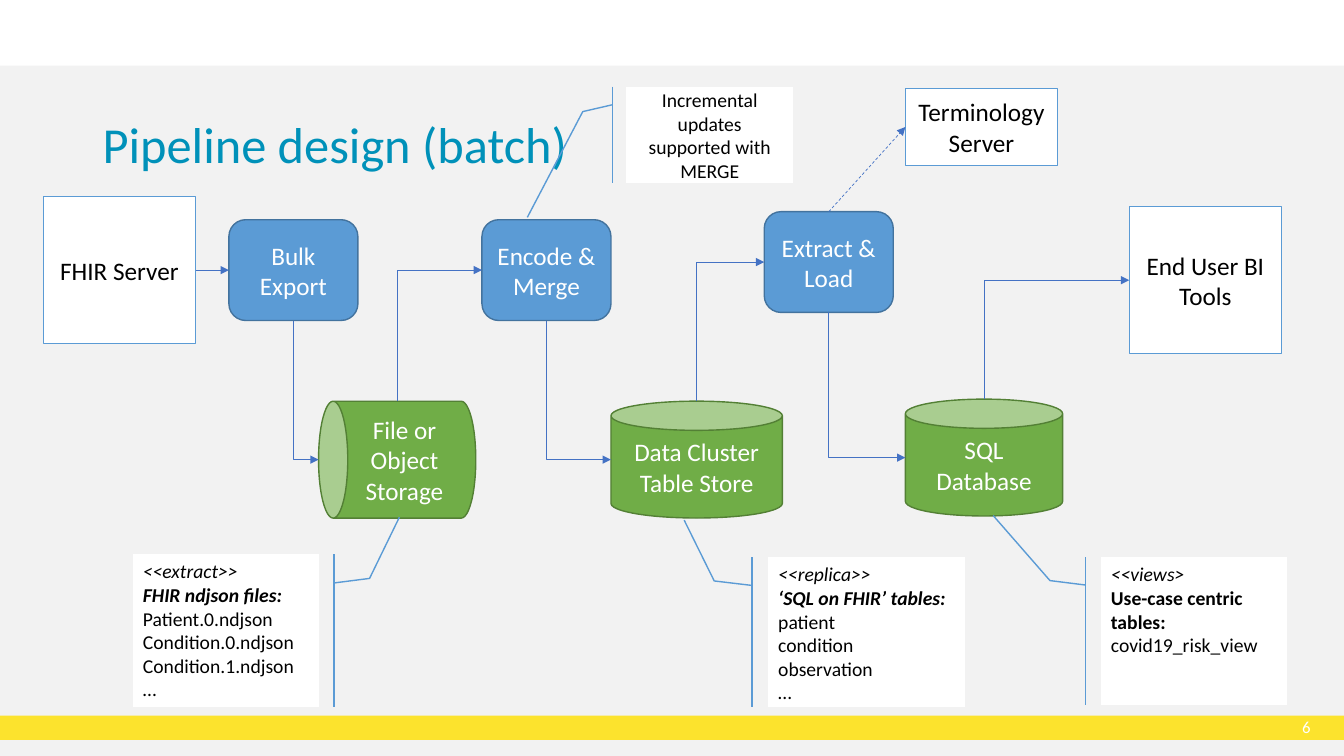
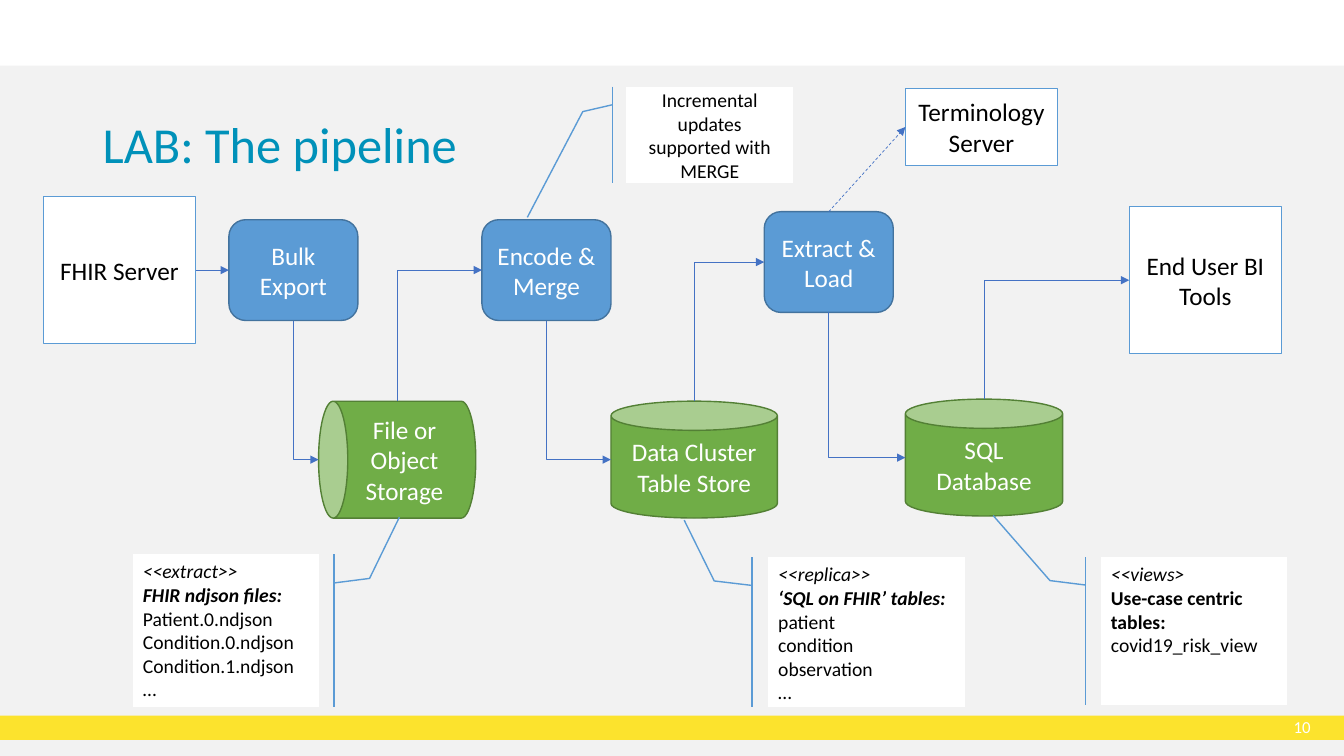
from lxml import etree
from pptx import Presentation
from pptx.dml.color import RGBColor
from pptx.enum.dml import MSO_LINE
from pptx.enum.shapes import MSO_CONNECTOR, MSO_SHAPE
from pptx.enum.text import MSO_ANCHOR, PP_ALIGN
from pptx.oxml.ns import qn
from pptx.util import Inches, Pt

RECT = MSO_SHAPE.RECTANGLE
ROUNDED = MSO_SHAPE.ROUNDED_RECTANGLE
CAN = MSO_SHAPE.CAN
CALLOUT = MSO_SHAPE.LINE_CALLOUT_2_ACCENT_BAR
STRAIGHT = MSO_CONNECTOR.STRAIGHT
ELBOW = MSO_CONNECTOR.ELBOW
DASH = MSO_LINE.DASH
LEFT, CENTER, RIGHT = PP_ALIGN.LEFT, PP_ALIGN.CENTER, PP_ALIGN.RIGHT
TOP, MIDDLE = MSO_ANCHOR.TOP, MSO_ANCHOR.MIDDLE

FONT = "Calibri"
WHITE, BLACK = "FFFFFF", "000000"
PANEL, BAND, TITLE = "F2F2F2", "FCE32D", "0091B9"
BLUE, BLUE_EDGE, ARROW = "5B9BD5", "43739E", "4472C4"
GREEN, GREEN_EDGE = "70AD47", "538035"

STYLES = {
    "system": (RECT, WHITE, BLUE, BLACK),
    "step": (ROUNDED, BLUE, BLUE_EDGE, WHITE),
    "store": (CAN, GREEN, GREEN_EDGE, WHITE),
}

NODES = {
    "fhir": ("system", (0.43, 1.95, 1.51, 1.46), ["FHIR Server"]),
    "bulk": ("step", (2.27, 2.18, 1.28, 1), ["Bulk Export"]),
    "files": ("store", (3.16, 3.98, 1.56, 1.16), ["File or Object Storage"]),
    "encode": ("step", (4.78, 2.18, 1.28, 1), ["Encode & Merge"]),
    "lake": ("store", (6.06, 3.98, 1.7, 1.16), ["Data Cluster", "Table Store"]),
    "extract": ("step", (7.58, 2.1, 1.28, 1), ["Extract & Load"]),
    "sql": ("store", (8.98, 3.96, 1.56, 1.16), ["SQL Database"]),
    "bi": ("system", (11.2, 2.05, 1.51, 1.46), ["End User BI Tools"]),
    "terms": ("system", (8.98, 0.88, 1.51, 0.76), ["Terminology", "Server"]),
}
LYING = "files"
BENDS = ["bulk", "files", "encode", "lake", "extract", "sql", "bi"]

NOTES = [
    ((1.32, 5.5, 1.84, 1.51), (0.158, -0.275, -0.245, -0.436),
     [("<<extract>>", "i"), ("FHIR ndjson files:", "bi"), "Patient.0.ndjson",
      "Condition.0.ndjson", "Condition.1.ndjson", "…"], {"mirrored": True}),
    ((6.21, 0.86, 1.66, 0.96), (0.258, -0.259, 1.351, -0.59),
     ["Incremental updates supported with MERGE"],
     {"align": CENTER, "anchor": MIDDLE}),
    ((7.62, 5.53, 1.95, 1.48), (0.158, -0.275, -0.25, -0.428),
     [("<<replica>>", "i"), ("‘SQL on FHIR’ tables:", "bi"), "patient",
      "condition", "observation", "…"], {}),
    ((10.92, 5.53, 1.84, 1.46), (0.158, -0.275, -0.284, -0.581),
     [("<<views>", "i"), ("Use-case centric tables:", "b"),
      "covid19_risk_view"], {}),
]

SLIDES = [("Pipeline design (batch)", "6", 1.7), ("LAB: The pipeline", "10", 1.65)]


def rgb(color):
    return RGBColor.from_string(color)


def inches(values):
    return [Inches(v) for v in values]


def write(sp, lines, size=18, color=BLACK, align=CENTER, anchor=MIDDLE,
          spacing=None, margin=None):
    tf = sp.text_frame
    tf.word_wrap = True
    tf.vertical_anchor = anchor
    if margin is not None:
        tf.margin_left = tf.margin_right = Inches(margin)
        tf.margin_top = tf.margin_bottom = Inches(margin)
    for i, line in enumerate(lines):
        text, style = (line, "") if isinstance(line, str) else line
        p = tf.add_paragraph() if i else tf.paragraphs[0]
        p.alignment = align
        if spacing:
            p.line_spacing = spacing
        r = p.add_run()
        r.text = text
        r.font.name = FONT
        r.font.size = Pt(size)
        r.font.bold = "b" in style
        r.font.italic = "i" in style
        r.font.color.rgb = rgb(color)


def add_box(s, kind, box, fill, line=None):
    sp = s.shapes.add_shape(kind, *inches(box))
    sp.shadow.inherit = False
    sp.fill.solid()
    sp.fill.fore_color.rgb = rgb(fill)
    if line:
        sp.line.color.rgb = rgb(line)
        sp.line.width = Pt(1)
    else:
        sp.line.fill.background()
    return sp


def add_label(s, box, text, **fmt):
    write(s.shapes.add_textbox(*inches(box)), [text], **fmt)


def add_node(s, style, box, lines, lying=False):
    kind, fill, line, color = STYLES[style]
    if lying:
        x, y, w, h = box
        box = (x + (w - h) / 2, y + (h - w) / 2, h, w)
    sp = add_box(s, kind, box, fill, line)
    if lying:
        sp.rotation = 270
        sp.text_frame._txBody.bodyPr.set("vert", "vert")
    write(sp, lines, color=color)


def add_note(s, box, leader, lines, mirrored=False, align=LEFT, anchor=TOP):
    sp = add_box(s, CALLOUT, box, WHITE, BLUE)
    for i, value in enumerate((0.188, -0.083) + leader):
        sp.adjustments[i] = value
    if mirrored:
        sp._element.spPr.find(qn("a:xfrm")).set("flipH", "1")
    write(sp, lines, size=14, align=align, anchor=anchor)


def add_arrow(s, start, end, kind=STRAIGHT, dash=None):
    cxn = s.shapes.add_connector(kind, *inches(start + end))
    cxn.line.color.rgb = rgb(ARROW)
    cxn.line.width = Pt(0.5)
    if dash:
        cxn.line.dash_style = dash
    spPr = cxn._element.spPr
    etree.SubElement(spPr.find(qn("a:ln")), qn("a:tailEnd"), type="triangle")
    etree.SubElement(spPr, qn("a:effectLst"))
    return cxn


def add_bend(s, start, end):
    (x1, y1), (x2, y2) = start, end
    cx, cy = (x1 + x2) / 2, (y1 + y2) / 2
    down = y2 > y1
    a = abs(y2 - y1) / 2
    b = (x2 - x1) / 2 if down else (x1 - x2) / 2
    cxn = add_arrow(s, (cx + a, cy - b), (cx - a, cy + b), ELBOW)
    spPr = cxn._element.spPr
    spPr.find(qn("a:prstGeom")).set("prst", "bentConnector2")
    spPr.find(qn("a:xfrm")).set("rot", str((270 if down else 90) * 60000))


def site(box, fx, fy):
    x, y, w, h = box
    return (x + w * fx, y + h * fy)


def add_frame(s, title, number):
    add_box(s, RECT, (0, 0.65, 13.33, 6.85), PANEL)
    add_box(s, RECT, (0, 7.1, 13.33, 0.24), BAND)
    add_label(s, (12.59, 7.1, 0.41, 0.23), number, size=12, color=WHITE,
              align=RIGHT, margin=0)
    add_label(s, (0.92, 1.14, 11.5, 0.97), title, size=36, color=TITLE,
              align=LEFT, anchor=TOP, spacing=0.9)


def add_pipeline(s, lake_width):
    boxes = {name: box for name, (_, box, _) in NODES.items()}
    boxes["lake"] = boxes["lake"][:2] + (lake_width, boxes["lake"][3])
    for name, (style, _, lines) in NODES.items():
        add_node(s, style, boxes[name], lines, lying=name == LYING)
    for box, leader, lines, fmt in NOTES:
        add_note(s, box, leader, lines, **fmt)

    bulk_in = site(boxes["bulk"], 0, 0.5)
    add_arrow(s, (site(boxes["fhir"], 1, 0)[0], bulk_in[1]), bulk_in)
    for source, target in zip(BENDS, BENDS[1:]):
        down = NODES[source][0] == "step"
        add_bend(s, site(boxes[source], 0.5, 1 if down else 0),
                 site(boxes[target], 0, 0.5))
    add_arrow(s, site(boxes["extract"], 0.5, 0), site(boxes["terms"], 0, 0.5),
              dash=DASH)


def main():
    prs = Presentation()
    prs.slide_width, prs.slide_height = inches((13.33, 7.5))
    for title, number, lake_width in SLIDES:
        s = prs.slides.add_slide(prs.slide_layouts[6])
        add_frame(s, title, number)
        add_pipeline(s, lake_width)
    prs.save("out.pptx")


if __name__ == "__main__":
    main()
